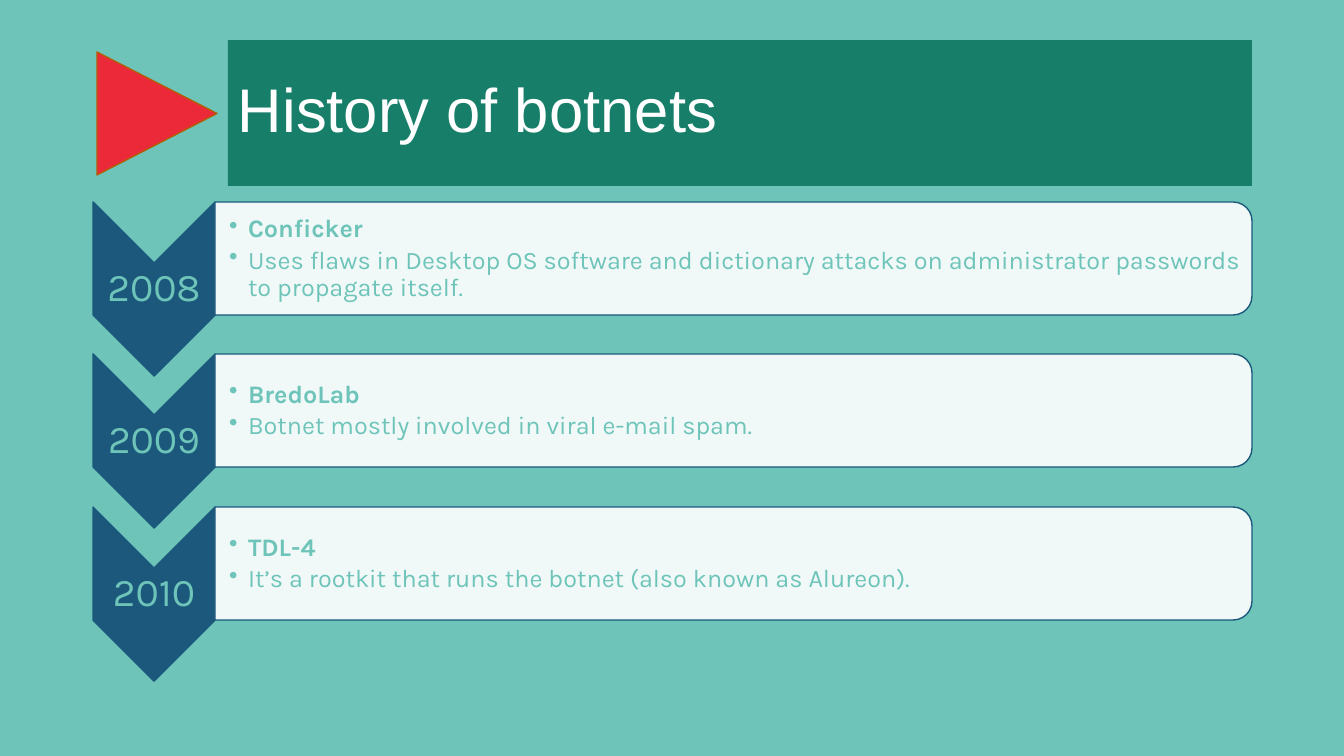
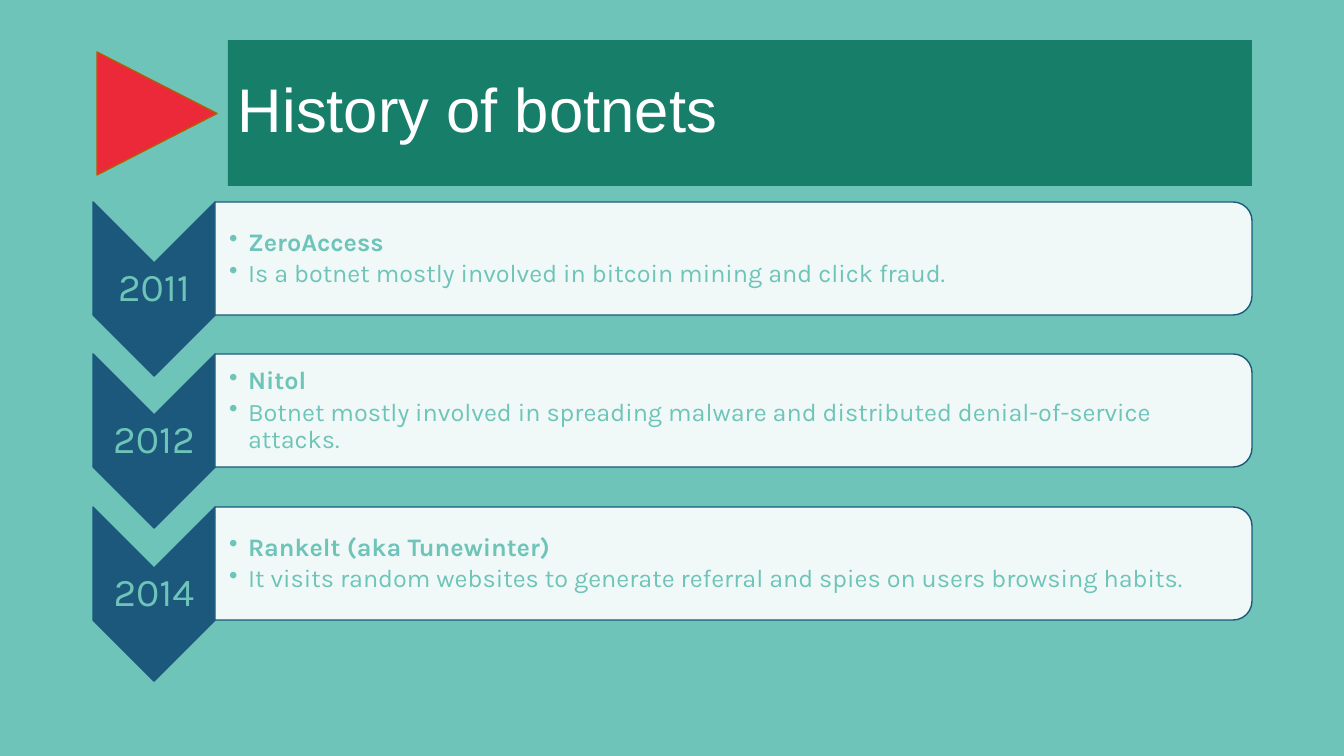
from lxml import etree
from pptx import Presentation
from pptx import util as u
from pptx.dml.color import RGBColor
from pptx.enum import shapes, text
from pptx.oxml.ns import qn

SLIDE_WIDTH, SLIDE_HEIGHT = 1344, 756
SCALE = 12192000 / SLIDE_WIDTH  # EMU per px

# Colours and fonts
TEAL = RGBColor(0x6E, 0xC4, 0xB9)
GREEN = RGBColor(0x17, 0x7E, 0x69)
RED = RGBColor(0xEC, 0x29, 0x39)
BROWN = RGBColor(0xB2, 0x5E, 0x07)
NAVY = RGBColor(0x1B, 0x58, 0x7C)
WHITE = RGBColor(0xFF, 0xFF, 0xFF)
TITLE_FONT, BODY_FONT = "Arial", "Karla"

# Timeline grid
ROWS_TOP = 202
TWO_ROW_STEPS = 305
YEAR_LEFT, YEAR_WIDTH = 93, 122
PANEL_LEFT, PANEL_WIDTH, PANEL_HEIGHT = 215, 1037, 113
BULLET_INDENT = 19

TITLE = "History of botnets"
TIMELINES = [
    [
        ("2008", "Conficker",
         "Uses flaws in Desktop OS software and dictionary attacks on "
         "administrator passwords to propagate itself."),
        ("2009", "BredoLab", "Botnet mostly involved in viral e-mail spam."),
        ("2010", "TDL-4",
         "It’s a rootkit that runs the botnet (also known as Alureon)."),
    ],
    [
        ("2011", "ZeroAccess",
         "Is a botnet mostly involved in bitcoin mining and click fraud."),
        ("2012", "Nitol",
         "Botnet mostly involved in spreading malware and distributed "
         "denial-of-service attacks."),
        ("2014", "Rankelt (aka Tunewinter)",
         "It visits random websites to generate referral and spies on users "
         "browsing habits."),
    ],
]


def px(length):
    return u.Emu(round(length * SCALE))


def add_shape(slide, kind, left, top, width, height, fill, line=None):
    shape = slide.shapes.add_shape(
        kind, px(left), px(top), px(width), px(height))
    shape.shadow.inherit = False
    shape.fill.solid()
    shape.fill.fore_color.rgb = fill
    if line is None:
        shape.line.fill.background()
    else:
        shape.line.color.rgb = line
        shape.line.width = u.Pt(1)
    return shape


def add_turned_shape(slide, kind, left, top, width, height, fill, line):
    """Place a shape turned by 90 degrees so that it covers the given box."""
    shift = (width - height) / 2
    shape = add_shape(slide, kind, left + shift, top - shift,
                      height, width, fill, line)
    shape.rotation = 90
    return shape


def set_opacity(shape, percent):
    color = shape.fill._xPr.find(qn("a:solidFill"))[0]
    etree.SubElement(color, qn("a:alpha"), val=str(percent * 1000))


def set_frame(frame, insets):
    frame.word_wrap = True
    frame.vertical_anchor = text.MSO_ANCHOR.MIDDLE
    (frame.margin_left, frame.margin_top,
     frame.margin_right, frame.margin_bottom) = map(px, insets)


def add_text_box(slide, left, top, width, height, insets):
    box = slide.shapes.add_textbox(px(left), px(top), px(width), px(height))
    set_frame(box.text_frame, insets)
    return box.text_frame


def write(paragraph, content, font_name, size, color,
          align=text.PP_ALIGN.LEFT, bold=False):
    paragraph.text = content
    paragraph.alignment = align
    paragraph.line_spacing = 0.9
    font = paragraph.font
    font.name, font.size, font.bold = font_name, u.Pt(size), bold
    font.color.rgb = color


def add_bullet(paragraph):
    paragraph.space_after = u.Pt(3)
    properties = paragraph._p.get_or_add_pPr()
    properties.set("marL", str(px(BULLET_INDENT)))
    properties.set("indent", str(-px(BULLET_INDENT)))
    bullet = etree.Element(qn("a:buChar"), char="•")
    properties.find(qn("a:defRPr")).addprevious(bullet)


def add_title(slide):
    add_turned_shape(slide, shapes.MSO_SHAPE.ISOSCELES_TRIANGLE,
                     97, 52, 120, 123, RED, BROWN)
    band = add_shape(slide, shapes.MSO_SHAPE.RECTANGLE,
                     228, 40, 1024, 146, GREEN)
    set_frame(band.text_frame, (10, 5, 10, 5))
    write(band.text_frame.paragraphs[0], TITLE, TITLE_FONT, 44, WHITE)


def add_row(slide, top, year, name, description):
    # Year chevron
    add_turned_shape(slide, shapes.MSO_SHAPE.CHEVRON,
                     YEAR_LEFT, top, YEAR_WIDTH, 174, NAVY, NAVY)
    frame = add_text_box(slide, YEAR_LEFT, top + 61, YEAR_WIDTH, 52,
                         (2, 2, 2, 2))
    write(frame.paragraphs[0], year, BODY_FONT, 28, TEAL,
          text.PP_ALIGN.CENTER)

    # Description panel
    panel = add_turned_shape(
        slide, shapes.MSO_SHAPE.ROUND_2_SAME_RECTANGLE,
        PANEL_LEFT, top, PANEL_WIDTH, PANEL_HEIGHT, WHITE, NAVY)
    set_opacity(panel, 90)
    frame = add_text_box(slide, PANEL_LEFT, top + 6, PANEL_WIDTH - 5,
                         PANEL_HEIGHT - 11, (14, 1, 1, 1))
    for paragraph, content, bold in (
            (frame.paragraphs[0], name, True),
            (frame.add_paragraph(), description, False)):
        write(paragraph, content, BODY_FONT, 18, TEAL, bold=bold)
        add_bullet(paragraph)


def main():
    presentation = Presentation()
    presentation.slide_width = px(SLIDE_WIDTH)
    presentation.slide_height = px(SLIDE_HEIGHT)
    background = presentation.slide_master.background.fill
    background.solid()
    background.fore_color.rgb = TEAL

    for timeline in TIMELINES:
        slide = presentation.slides.add_slide(presentation.slide_layouts[6])
        add_title(slide)
        for index, entry in enumerate(timeline):
            add_row(slide, ROWS_TOP + index * TWO_ROW_STEPS // 2, *entry)

    presentation.save("out.pptx")


if __name__ == "__main__":
    main()
